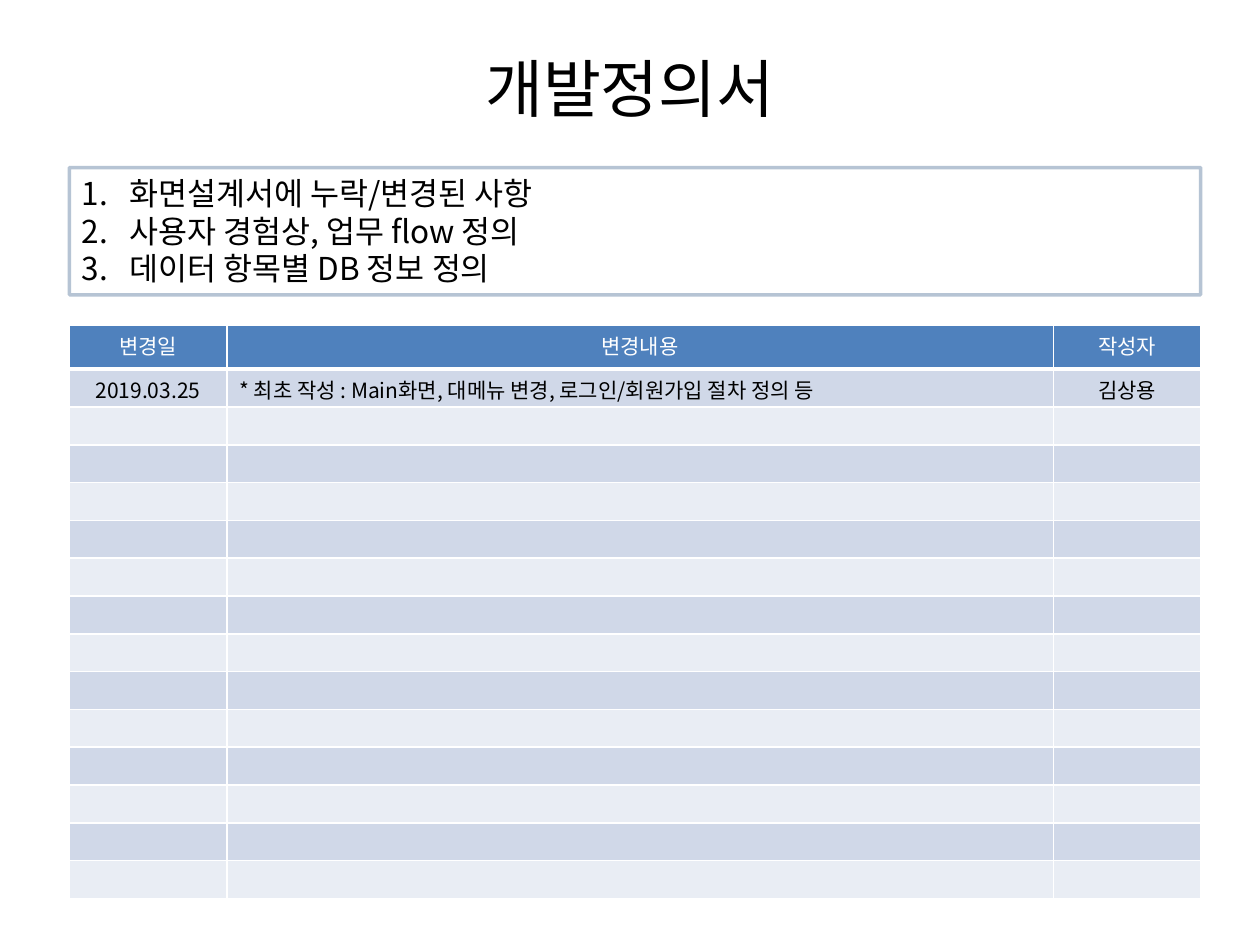
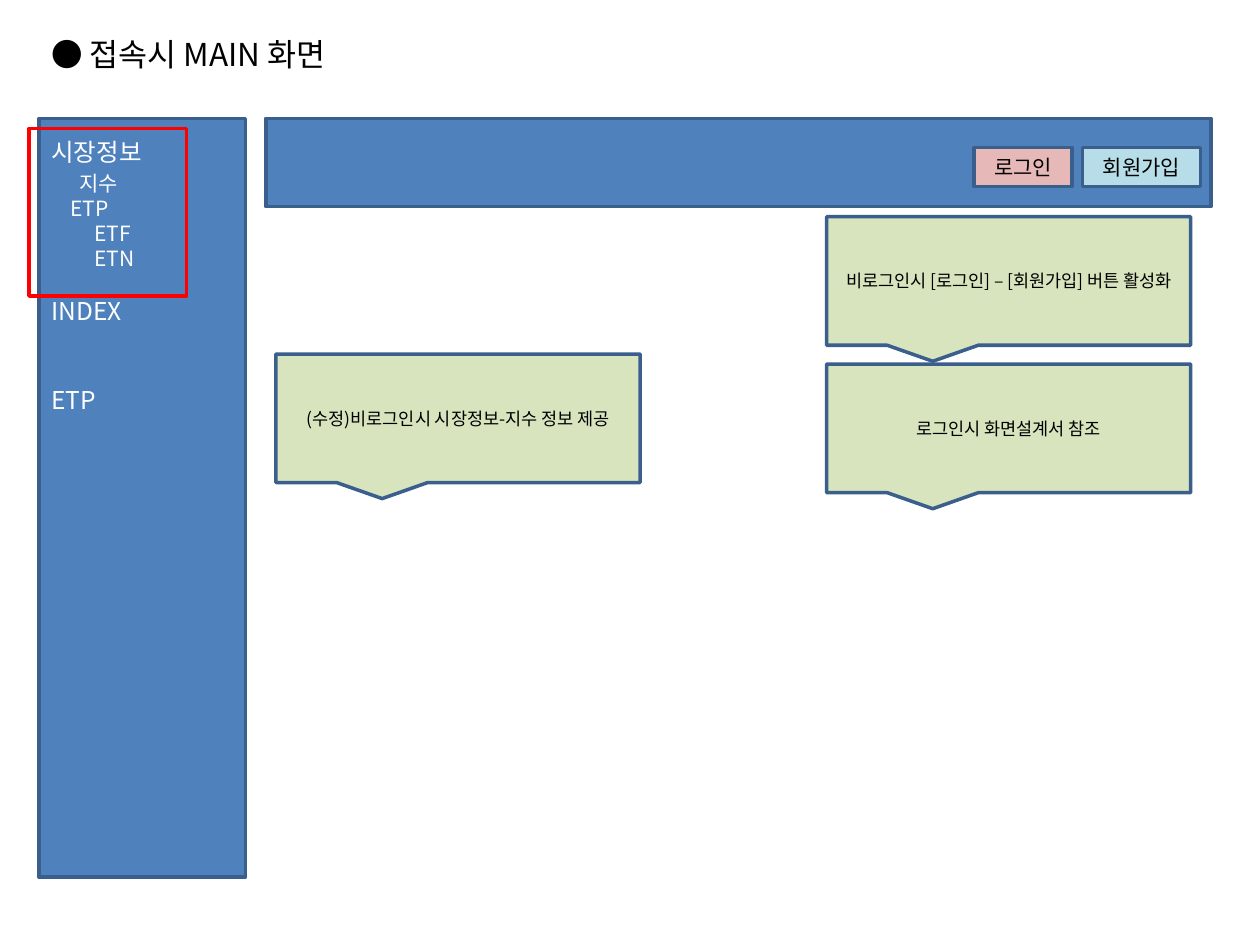
from dataclasses import dataclass
from lxml.etree import SubElement
from pptx import Presentation
from pptx.dml.color import RGBColor
from pptx.enum.shapes import MSO_SHAPE
from pptx.enum.text import MSO_ANCHOR, PP_ALIGN
from pptx.oxml.ns import qn
from pptx.util import Inches, Pt


@dataclass(frozen=True)
class Theme:
    font: str = "Noto Sans CJK KR"
    black: str = "000000"
    white: str = "FFFFFF"
    blue: str = "4F81BD"
    outline: str = "3A5F8C"
    red: str = "FF0000"
    pink: str = "E6B9B8"
    aqua: str = "B7DEE8"
    green: str = "D7E4BD"
    bands: tuple = ("D0D8E8", "E9EDF4")
    title: int = 36
    heading: int = 18
    menu: int = 14
    body: int = 12
    note: int = 10
    spacing: float = 1.2


T = Theme()


def rgb(value):
    return RGBColor.from_string(value)


class Deck:
    def __init__(self, width, height):
        self.prs = Presentation()
        self.prs.slide_width = Inches(width)
        self.prs.slide_height = Inches(height)
        self.s = None

    def slide(self):
        self.s = self.prs.slides.add_slide(self.prs.slide_layouts[6])

    def paragraph(self, p, text, size, color=T.black, align=PP_ALIGN.LEFT,
                  before=0, indent=0, numbered=False):
        p.alignment = align
        p.line_spacing = Pt(size * T.spacing)
        p.space_before = Pt(before)
        pPr = p._p.get_or_add_pPr()
        pPr.set("marL", str(Inches(indent)))
        pPr.set("indent", str(-Inches(indent) if numbered else 0))
        if numbered:
            SubElement(pPr, qn("a:buFont"), typeface="+mj-lt")
            SubElement(pPr, qn("a:buAutoNum"), type="arabicPeriod")
        if not text:
            # An empty cell takes its height from the end-of-paragraph size
            SubElement(p._p, qn("a:endParaRPr"), sz=str(T.note * 100))
            return
        r = p.add_run()
        r.text = text
        r.font.size = Pt(size)
        r.font.bold = False
        r.font.name = T.font
        r.font.color.rgb = rgb(color)
        SubElement(r._r.get_or_add_rPr(), qn("a:ea"), typeface=T.font)

    def paragraphs(self, tf, items, **style):
        """Each item is a text with the settings that differ from the style."""
        for i, (text, own) in enumerate(items):
            p = tf.add_paragraph() if i else tf.paragraphs[0]
            self.paragraph(p, text, **{**style, **own})

    def text(self, box, text, size, align=PP_ALIGN.LEFT, anchor=MSO_ANCHOR.TOP):
        tf = self.s.shapes.add_textbox(*map(Inches, box)).text_frame
        tf.word_wrap = True
        tf.vertical_anchor = anchor
        self.paragraph(tf.paragraphs[0], text, size, align=align)

    def shape(self, box, fill=None, line=T.outline, kind=MSO_SHAPE.RECTANGLE,
              alpha=None, anchor=MSO_ANCHOR.MIDDLE):
        sp = self.s.shapes.add_shape(kind, *map(Inches, box))
        sp.shadow.inherit = False
        if fill:
            sp.fill.solid()
            sp.fill.fore_color.rgb = rgb(fill)
        else:
            sp.fill.background()
        sp.line.color.rgb = rgb(line)
        sp.line.width = Pt(2)
        if alpha:
            color = sp.line._get_or_add_ln().find(".//" + qn("a:srgbClr"))
            SubElement(color, qn("a:alpha"), val=str(alpha * 1000))
        sp.text_frame.word_wrap = True
        sp.text_frame.vertical_anchor = anchor
        return sp

    def label(self, box, text, fill, size, kind=MSO_SHAPE.RECTANGLE):
        sp = self.shape(box, fill, kind=kind)
        self.paragraph(sp.text_frame.paragraphs[0], text, size,
                       align=PP_ALIGN.CENTER)

    def callout(self, left, top, text):
        self.label((left, top, 2.89, 1.02), text, T.green, T.note,
                   MSO_SHAPE.RECTANGULAR_CALLOUT)

    def cell(self, cell, text, fill, color, align, borders):
        tcPr = cell._tc.get_or_add_tcPr()
        for side, width in borders.items():
            ln = SubElement(tcPr, qn("a:ln" + side), w=str(Pt(width)))
            SubElement(SubElement(ln, qn("a:solidFill")),
                       qn("a:srgbClr"), val=T.white)
        cell.fill.solid()
        cell.fill.fore_color.rgb = rgb(fill)
        cell.margin_top = Inches(0.08)
        cell.margin_bottom = Inches(0.01)
        self.paragraph(cell.text_frame.paragraphs[0], text, T.body, color, align)

    def table(self, left, top, widths, heights, rows):
        frame = self.s.shapes.add_table(
            len(heights), len(widths), Inches(left), Inches(top),
            Inches(sum(widths)), Inches(sum(heights)))
        tbl = frame.table
        for col, width in zip(tbl.columns, widths):
            col.width = Inches(width)
        for i, height in enumerate(heights):
            tbl.rows[i].height = Inches(height)
            header = i == 0
            fill = T.blue if header else T.bands[(i - 1) % 2]
            color = T.white if header else T.black
            borders = {"L": 1, "R": 1, "T": 3 if i == 1 else 1,
                       "B": 3 if header else 1}
            texts = rows[i] if i < len(rows) else [""] * len(widths)
            for j, text in enumerate(texts):
                left_aligned = j == 1 and not header
                align = PP_ALIGN.LEFT if left_aligned else PP_ALIGN.CENTER
                self.cell(tbl.cell(i, j), text, fill, color, align, borders)


deck = Deck(10, 7.5)

# Slide 1: title, purpose and change history
deck.slide()
deck.text((0.5, 0.3, 9, 0.79), "개발정의서", T.title, PP_ALIGN.CENTER,
          MSO_ANCHOR.MIDDLE)
purpose = deck.shape((0.55, 1.33, 8.98, 1.01), alpha=36, anchor=MSO_ANCHOR.TOP)
goals = ("화면설계서에 누락/변경된 사항",
         "사용자 경험상, 업무 flow 정의",
         "데이터 항목별 DB 정보 정의")
deck.paragraphs(purpose.text_frame, [(goal, {}) for goal in goals],
                size=T.heading, indent=0.38, numbered=True)
deck.table(0.55, 2.58, [1.25, 6.56, 1.17], [0.35] + [0.3] * 14, [
    ("변경일", "변경내용", "작성자"),
    ("2019.03.25",
     "* 최초 작성 : Main화면, 대메뉴 변경, 로그인/회원가입 절차 정의 등",
     "김상용"),
])

# Slide 2: main screen, side menu first
deck.slide()
menu = deck.shape((0.31, 0.94, 1.64, 6.02), T.blue, anchor=MSO_ANCHOR.TOP)
menu.text_frame.margin_top = Inches(0.15)
sub = {"size": T.body}
deck.paragraphs(menu.text_frame, [
    ("시장정보", {}),
    ("지수", {**sub, "indent": 0.22, "before": 2}),
    ("ETP", {**sub, "indent": 0.15}),
    ("ETF", {**sub, "indent": 0.34}),
    ("ETN", {**sub, "indent": 0.34}),
    ("INDEX", {"before": 14}),
    ("ETP", {"before": 34}),
], size=T.menu, color=T.white)

# Top bar and highlighted menu group
deck.shape((2.11, 0.94, 7.5, 0.7), T.blue)
deck.shape((0.23, 1.02, 1.25, 1.33), line=T.red)

# Notes and buttons
deck.callout(2.19, 2.81, "(수정)비로그인시 시장정보-지수 정보 제공")
deck.callout(6.56, 1.72, "비로그인시 [로그인] – [회원가입] 버튼 활성화")
deck.label((7.73, 1.17, 0.78, 0.31), "로그인", T.pink, T.body)
deck.label((8.59, 1.17, 0.94, 0.31), "회원가입", T.aqua, T.body)
deck.callout(6.56, 2.89, "로그인시 화면설계서 참조")
deck.text((0.31, 0.23, 4.53, 0.4), "● 접속시 MAIN 화면", T.heading)

deck.prs.save("out.pptx")
